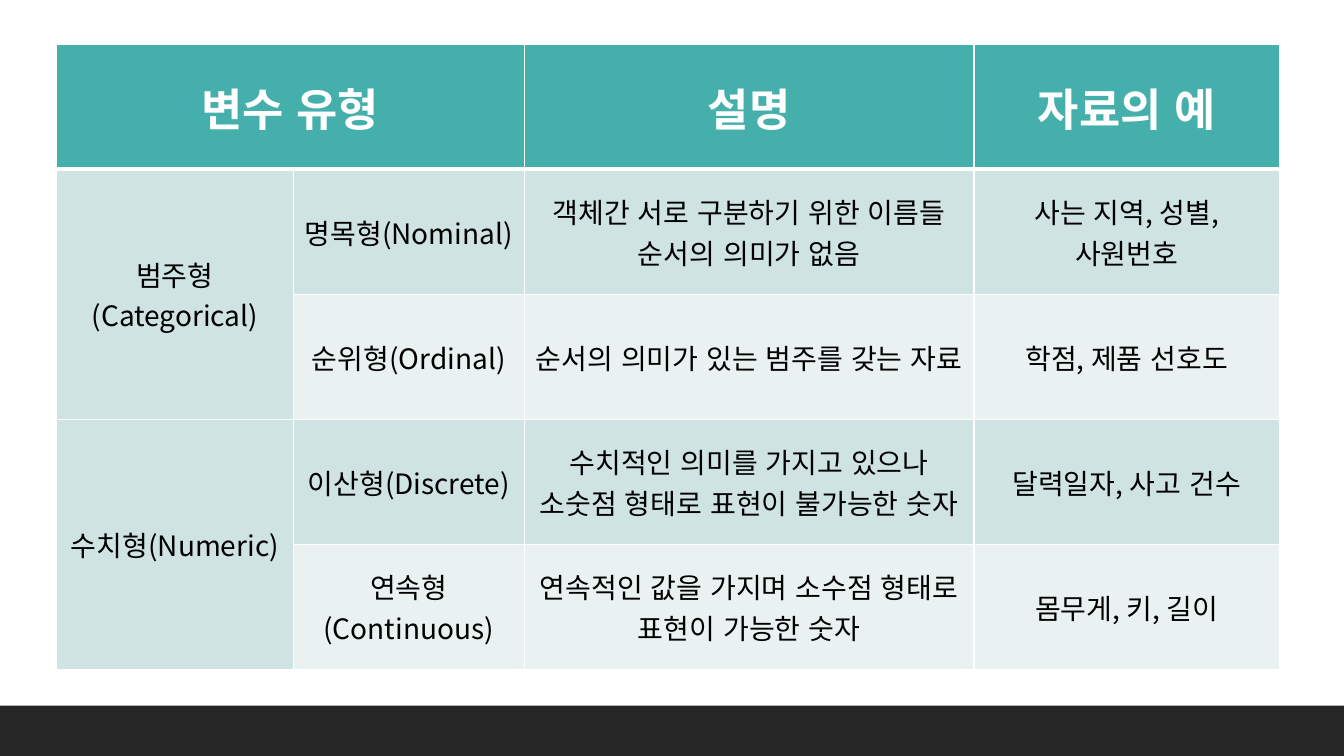
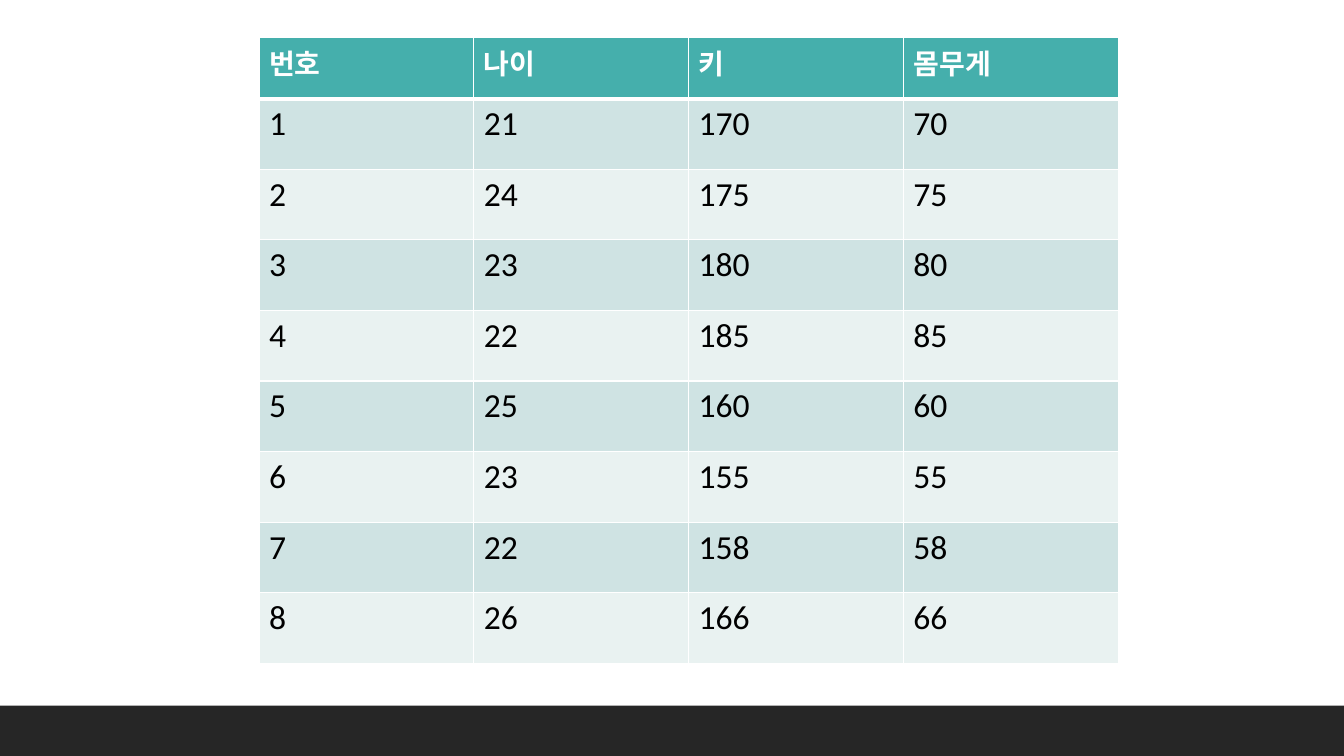
from dataclasses import dataclass

from lxml.etree import SubElement
from pptx import Presentation
from pptx.dml.color import RGBColor
from pptx.enum.lang import MSO_LANGUAGE_ID as Language
from pptx.enum.shapes import MSO_SHAPE as Shape
from pptx.enum.text import MSO_ANCHOR as Anchor, PP_ALIGN as Align
from pptx.oxml.ns import qn
from pptx.util import Inches, Pt

WIDTH, HEIGHT = 13.33, 7.5
BAND_HEIGHT = 0.5
BAND, HEADER, WHITE, BLACK = "262626", "45AFAC", "FFFFFF", "000000"
ROW_FILLS = ("CFE3E3", "E9F2F1")
KOREAN_FONT, LATIN_FONT = "Noto Sans CJK KR", "Calibri"
THIN, THICK = 1, 3


@dataclass(frozen=True)
class TableLayout:
    left: float
    top: float
    columns: tuple[float, ...]
    heights: tuple[float, ...]
    rows: tuple[tuple[str | None, ...], ...]
    font: str
    header_size: int
    body_size: int
    align: Align = Align.LEFT
    anchor: Anchor = Anchor.TOP
    merges: tuple[tuple[int, int, int, int], ...] = ()


VARIABLE_TYPES = TableLayout(
    left=0.56,
    top=0.44,
    columns=(2.35, 2.29, 4.46, 3.03),
    heights=(1.24,) * 5,
    rows=(
        ("변수 유형", None, "설명", "자료의 예"),
        ("범주형(Categorical)", "명목형(Nominal)",
         "객체간 서로 구분하기 위한 이름들\n순서의 의미가 없음", "사는 지역, 성별, 사원번호"),
        (None, "순위형(Ordinal)", "순서의 의미가 있는 범주를 갖는 자료", "학점, 제품 선호도"),
        ("수치형(Numeric)", "이산형(Discrete)",
         "수치적인 의미를 가지고 있으나 소숫점 형태로 표현이 불가능한 숫자", "달력일자, 사고 건수"),
        (None, "연속형(Continuous)",
         "연속적인 값을 가지며 소수점 형태로 표현이 가능한 숫자", "몸무게, 키, 길이"),
    ),
    font=KOREAN_FONT,
    header_size=32,
    body_size=20,
    align=Align.CENTER,
    anchor=Anchor.MIDDLE,
    merges=((0, 0, 0, 1), (1, 0, 2, 0), (3, 0, 4, 0)),
)

MEASUREMENTS = TableLayout(
    left=2.57,
    top=0.37,
    columns=(2.13,) * 4,
    heights=(0.61,) + (0.7,) * 8,
    rows=(
        ("번호", "나이", "키", "몸무게"),
        ("1", "21", "170", "70"),
        ("2", "24", "175", "75"),
        ("3", "23", "180", "80"),
        ("4", "22", "185", "85"),
        ("5", "25", "160", "60"),
        ("6", "23", "155", "55"),
        ("7", "22", "158", "58"),
        ("8", "26", "166", "66"),
    ),
    font=LATIN_FONT,
    header_size=20,
    body_size=24,
)


def color(value: str) -> RGBColor:
    return RGBColor.from_string(value)


def paint(target, value: str) -> None:
    target.fill.solid()
    target.fill.fore_color.rgb = color(value)


def add_band(page) -> None:
    band = page.shapes.add_shape(
        Shape.RECTANGLE, 0, Inches(HEIGHT - BAND_HEIGHT), Inches(WIDTH), Inches(BAND_HEIGHT)
    )
    band.shadow.inherit = False
    band.line.fill.background()
    paint(band, BAND)


def set_borders(cell, top: int, bottom: int) -> None:
    properties = cell._tc.get_or_add_tcPr()
    for side, points in {"L": THIN, "R": THIN, "T": top, "B": bottom}.items():
        line = SubElement(properties, qn(f"a:ln{side}"), w=str(Pt(points)))
        fill = SubElement(line, qn("a:solidFill"))
        SubElement(fill, qn("a:srgbClr"), val=WHITE)


def write_cell(cell, text: str, layout: TableLayout, is_header: bool) -> None:
    style = {
        "name": layout.font,
        "size": Pt(layout.header_size if is_header else layout.body_size),
        "bold": is_header,
        "language_id": Language.KOREAN,
    }
    cell.text = text
    cell.vertical_anchor = layout.anchor
    for para in cell.text_frame.paragraphs:
        para.alignment = layout.align
        for span in para.runs:
            for name, value in style.items():
                setattr(span.font, name, value)
            span.font.color.rgb = color(WHITE if is_header else BLACK)
            SubElement(span._r.get_or_add_rPr(), qn("a:ea"), typeface=KOREAN_FONT)


def add_table(page, layout: TableLayout) -> None:
    frame = page.shapes.add_table(
        len(layout.rows), len(layout.columns), Inches(layout.left), Inches(layout.top),
        Inches(sum(layout.columns)), Inches(sum(layout.heights)),
    )
    table = frame.table
    for column, width in zip(table.columns, layout.columns):
        column.width = Inches(width)
    for row, height in zip(table.rows, layout.heights):
        row.height = Inches(height)
    for first_row, first_column, last_row, last_column in layout.merges:
        table.cell(first_row, first_column).merge(table.cell(last_row, last_column))
    for row_index, texts in enumerate(layout.rows):
        is_header = row_index == 0
        fill = HEADER if is_header else ROW_FILLS[(row_index - 1) % 2]
        for column_index, text in enumerate(texts):
            cell = table.cell(row_index, column_index)
            set_borders(cell, THICK if row_index == 1 else THIN, THICK if is_header else THIN)
            paint(cell, fill)
            if text is not None:
                write_cell(cell, text, layout, is_header)


def main() -> None:
    """Build the deck of variable types and sample measurements."""
    deck = Presentation()
    deck.slide_width, deck.slide_height = Inches(WIDTH), Inches(HEIGHT)
    for layout in (VARIABLE_TYPES, MEASUREMENTS):
        page = deck.slides.add_slide(deck.slide_layouts[6])
        add_band(page)
        add_table(page, layout)
    deck.save("out.pptx")


if __name__ == "__main__":
    main()
